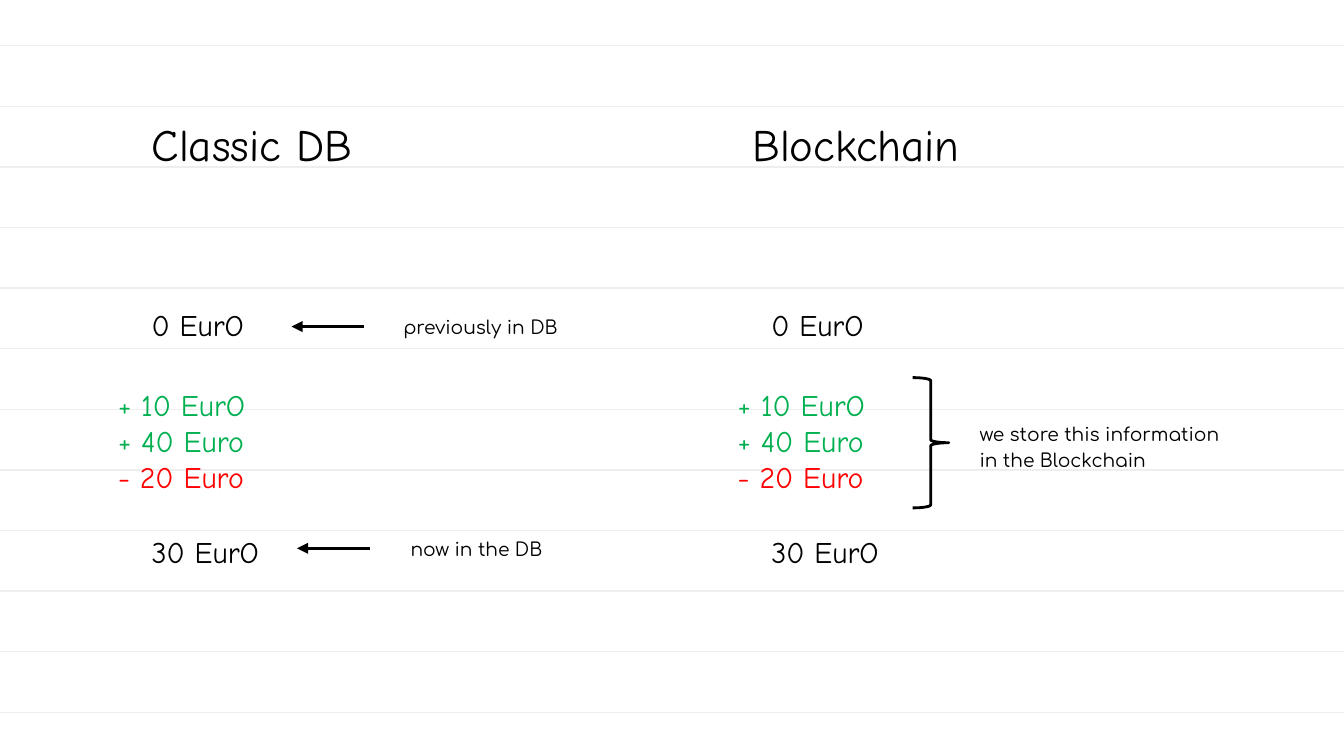
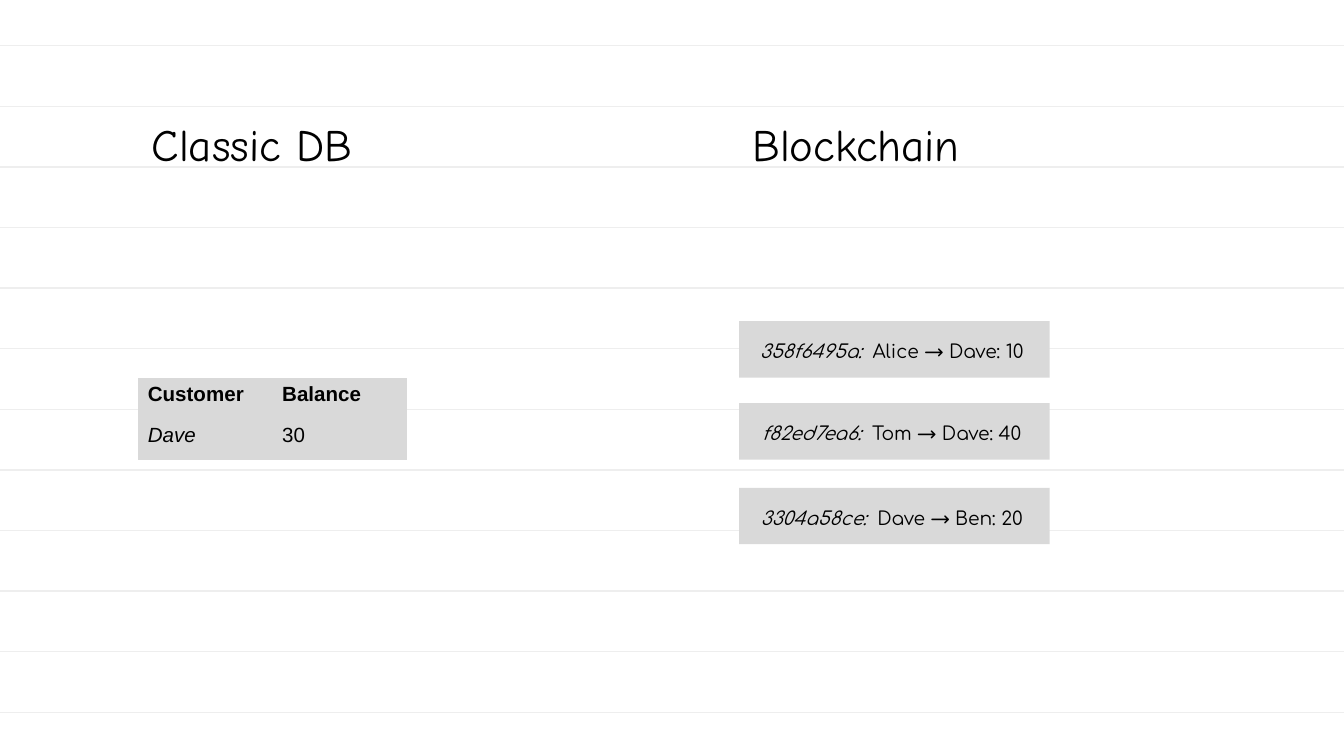
from lxml.etree import SubElement
from pptx import Presentation
from pptx.dml.color import RGBColor
from pptx.enum.shapes import MSO_CONNECTOR, MSO_SHAPE
from pptx.enum.text import MSO_ANCHOR, PP_ALIGN
from pptx.oxml.ns import qn
from pptx.util import Inches, Pt

BLACK = RGBColor(0, 0, 0)
GREEN = RGBColor(0x00, 0xB0, 0x50)
RED = RGBColor(0xFF, 0, 0)
RULE_GREY = RGBColor(0xEE, 0xEE, 0xEE)
BOX_GREY = RGBColor(0xD9, 0xD9, 0xD9)

HAND_FONT, NOTE_FONT, TABLE_FONT = "Comic Neue", "Comfortaa", "Arial"
NO_TABLE_STYLE = "{2D5ABB26-0587-4C30-8999-92F81FD0307C}"

RULE_COUNT, FIRST_RULE, LAST_RULE = 12, 0.34, 5.3
HEADINGS = [("Classic DB", 1.03), ("Blockchain", 5.5)]
HEADING_TOP = 0.57
LINE_WIDTH, LINE_HEIGHT = 3.19, 0.8

LEDGER_LEFTS = [0.78, 5.39]
BALANCE_INDENT = 0.25
BALANCES = [("0 EurO", 1.85), ("30 EurO", 3.54)]
CHANGES = [("+ 10 EurO", GREEN), ("+ 40 Euro", GREEN), ("- 20 Euro", RED)]
CHANGES_TOP = 2.98
DB_NOTES = [
    ("now in the DB", 2.73, 3.88, 2.75),
    ("previously in DB", 2.76, 2.23, 2.71),
]
ARROW_LENGTH, ARROW_DROP = 0.54, 0.2
CHAIN_NOTE = "we store this information in the Blockchain"

ACCOUNTS = [("Customer", "Balance"), ("Dave", "30")]
TRANSACTIONS = [
    ("358f6495a:  ", "Alice ", " Dave: 10 ", 2.39),
    ("f82ed7ea6:  ", "Tom ", " Dave: 40 ", 3.0),
    ("3304a58ce:  ", "Dave ", " Ben: 20 ", 3.63),
]


def style(run, font, size, color=BLACK, bold=False, italic=False):
    run.font.name = font
    run.font.size = Pt(size)
    run.font.color.rgb = color
    run.font.bold = bold
    run.font.italic = italic


def prepare_frame(shape, anchor=MSO_ANCHOR.TOP):
    frame = shape.text_frame
    frame.word_wrap = True
    frame.vertical_anchor = anchor
    frame.margin_left = frame.margin_right = Inches(0.1)
    frame.margin_top = frame.margin_bottom = Inches(0.1)
    return frame


def space_note(paragraph, align):
    paragraph.alignment = align
    paragraph.line_spacing = 1.15
    paragraph.space_after = Pt(16)


def add_line(slide, x1, y1, x2, y2, color, width):
    line = slide.shapes.add_connector(
        MSO_CONNECTOR.STRAIGHT, Inches(x1), Inches(y1), Inches(x2), Inches(y2))
    line.line.color.rgb = color
    line.line.width = Pt(width)
    SubElement(line._element.spPr, qn("a:effectLst"))
    return line


def add_arrow(slide, start, y):
    arrow = add_line(slide, start, y, start - ARROW_LENGTH, y, BLACK, 1.5)
    SubElement(arrow.line._get_or_add_ln(), qn("a:tailEnd"), type="triangle")


def add_handwriting(slide, lines, left, top, size):
    box = slide.shapes.add_textbox(
        Inches(left), Inches(top), Inches(LINE_WIDTH), Inches(LINE_HEIGHT))
    frame = prepare_frame(box, MSO_ANCHOR.BOTTOM)
    frame.text = "\n".join(text for text, _ in lines)
    for paragraph, (_, color) in zip(frame.paragraphs, lines):
        style(paragraph.runs[0], HAND_FONT, size, color)


def add_note(slide, text, left, top, width, align):
    box = slide.shapes.add_textbox(
        Inches(left), Inches(top), Inches(width), Inches(0.55))
    paragraph = prepare_frame(box).paragraphs[0]
    paragraph.text = text
    space_note(paragraph, align)
    style(paragraph.runs[0], NOTE_FONT, 10)


def add_ruled_slide(deck):
    slide = deck.slides.add_slide(deck.slide_layouts[6])
    gap = (LAST_RULE - FIRST_RULE) / (RULE_COUNT - 1)
    for index in range(RULE_COUNT):
        y = FIRST_RULE + index * gap
        add_line(slide, 0, y, 10, y, RULE_GREY, 0.75)
    for heading, left in HEADINGS:
        add_handwriting(slide, [(heading, BLACK)], left, HEADING_TOP, 24)
    return slide


def add_ledger_slide(deck):
    slide = add_ruled_slide(deck)
    for left in LEDGER_LEFTS:
        for balance, top in BALANCES:
            add_handwriting(slide, [(balance, BLACK)], left + BALANCE_INDENT, top, 16)
        add_handwriting(slide, CHANGES, left, CHANGES_TOP, 16)
    for note, left, top, arrow_start in DB_NOTES:
        add_arrow(slide, arrow_start, top + ARROW_DROP)
        add_note(slide, note, left, top, 1.63, PP_ALIGN.CENTER)
    add_note(slide, CHAIN_NOTE, 7.19, 3.02, 2.15, PP_ALIGN.LEFT)
    brace = slide.shapes.add_shape(
        MSO_SHAPE.RIGHT_BRACE, Inches(6.79), Inches(2.81), Inches(0.27), Inches(0.97))
    brace.shadow.inherit = False
    brace.fill.background()
    brace.line.color.rgb = BLACK
    brace.line.width = Pt(1.5)


def add_accounts(slide):
    frame = slide.shapes.add_table(
        len(ACCOUNTS), 2, Inches(1.03), Inches(2.81), Inches(2), Inches(0.61))
    table = frame.table
    table._tbl.tblPr.find(qn("a:tableStyleId")).text = NO_TABLE_STYLE
    table.horz_banding = False
    for row, values in enumerate(ACCOUNTS):
        for column, value in enumerate(values):
            cell = table.cell(row, column)
            cell.text = value
            cell.fill.solid()
            cell.fill.fore_color.rgb = BOX_GREY
            cell.margin_left = cell.margin_right = Inches(0.07)
            cell.margin_top = cell.margin_bottom = Inches(0.04)
            style(cell.text_frame.paragraphs[0].runs[0], TABLE_FONT, 11,
                  bold=row == 0, italic=row > 0 and column == 0)


def add_transaction(slide, identifier, sender, receipt, top):
    block = slide.shapes.add_shape(
        MSO_SHAPE.RECTANGLE, Inches(5.5), Inches(top), Inches(2.31), Inches(0.42))
    block.shadow.inherit = False
    block.fill.solid()
    block.fill.fore_color.rgb = BOX_GREY
    block.line.fill.background()
    paragraph = prepare_frame(block).paragraphs[0]
    space_note(paragraph, PP_ALIGN.CENTER)
    pieces = [(identifier, 10, True), (sender, 10, False),
              ("→", 11, False), (receipt, 10, False)]
    for text, size, italic in pieces:
        run = paragraph.add_run()
        run.text = text
        style(run, NOTE_FONT, size, italic=italic)


def add_storage_slide(deck):
    slide = add_ruled_slide(deck)
    add_accounts(slide)
    for transaction in TRANSACTIONS:
        add_transaction(slide, *transaction)


def main():
    deck = Presentation()
    deck.slide_width = Inches(10)
    deck.slide_height = deck.slide_width * 9 // 16
    add_ledger_slide(deck)
    add_storage_slide(deck)
    deck.save("out.pptx")


if __name__ == "__main__":
    main()
